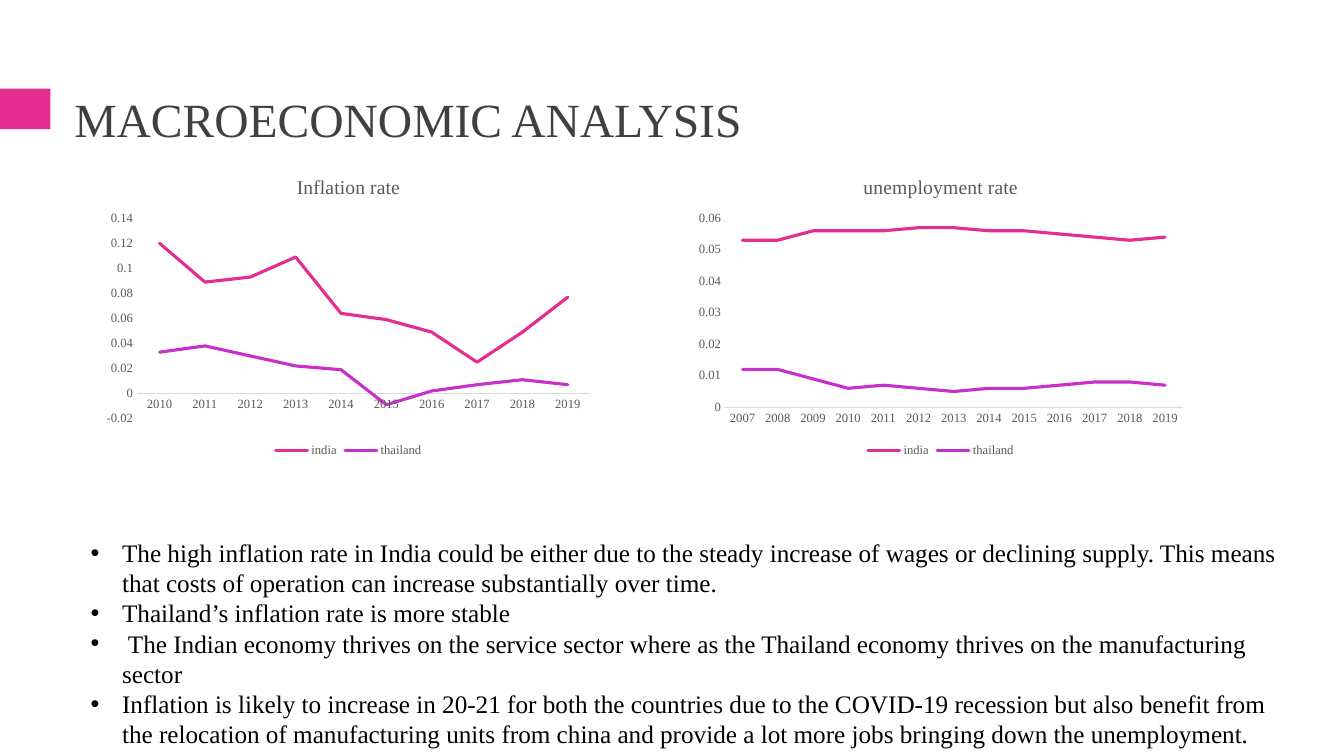
from dataclasses import dataclass

from lxml import etree
from pptx import Presentation
from pptx import util as u
from pptx.chart import data
from pptx.dml import color
from pptx.enum import chart as ch, shapes, text
from pptx.oxml import ns

FONT = "Times New Roman"
PINK, PURPLE = "E32D91", "C830CC"
DARK, GREY, RULE, BLACK = "404040", "595959", "D9D9D9", "000000"


@dataclass
class RateChart:
    title: str
    left: float
    first_year: int
    low: float
    high: float
    step: float
    india: list[float]
    thailand: list[float]


CHARTS = [
    RateChart(
        "Inflation rate", 69, 2010, -0.02, 0.14, 0.02,
        [0.12, 0.089, 0.093, 0.109, 0.064, 0.059, 0.049, 0.025, 0.049, 0.077],
        [0.033, 0.038, 0.03, 0.022, 0.019, -0.009, 0.002, 0.007, 0.011, 0.007],
    ),
    RateChart(
        "unemployment rate", 492, 2007, 0, 0.06, 0.01,
        [0.053, 0.053, 0.056, 0.056, 0.056, 0.057, 0.057, 0.056, 0.056, 0.055,
         0.054, 0.053, 0.054],
        [0.012, 0.012, 0.009, 0.006, 0.007, 0.006, 0.005, 0.006, 0.006, 0.007,
         0.008, 0.008, 0.007],
    ),
]

BULLETS = [
    "The high inflation rate in India could be either due to the steady increase of wages "
    "or declining supply. This means that costs of operation can increase substantially over time.",
    "Thailand’s inflation rate is more stable",
    " The Indian economy thrives on the service sector where as the Thailand economy thrives "
    "on the manufacturing sector",
    "Inflation is likely to increase in 20-21 for both the countries due to the COVID-19 "
    "recession but also benefit from the relocation of manufacturing units from china and "
    "provide a lot more jobs bringing down the unemployment.",
]


def rgb(value: str) -> color.RGBColor:
    return color.RGBColor.from_string(value)


def set_font(font, size: float, value: str) -> None:
    font.name = FONT
    font.size = u.Pt(size)
    font.bold = False
    font.color.rgb = rgb(value)


def add_text(s, left: float, top: float, width: float, height: float,
             lines: list[str], size: float, value: str, anchor):
    tf = s.shapes.add_textbox(u.Pt(left), u.Pt(top), u.Pt(width), u.Pt(height)).text_frame
    tf.word_wrap = True
    tf.vertical_anchor = anchor
    tf.text = "\n".join(lines)
    for p in tf.paragraphs:
        set_font(p.font, size, value)
    return tf


def add_bullet(p, indent: float) -> None:
    pPr = p._p.get_or_add_pPr()
    pPr.set("marL", str(u.Pt(indent)))
    pPr.set("indent", str(u.Pt(-indent)))
    font = etree.Element(ns.qn("a:buFont"), typeface="Arial")
    mark = etree.Element(ns.qn("a:buChar"), char="•")
    pPr.insert(0, font)
    font.addnext(mark)


def add_rate_chart(s, spec_: RateChart) -> None:
    cd = data.CategoryChartData()
    cd.categories = [str(spec_.first_year + i) for i in range(len(spec_.india))]
    cd.add_series("india", spec_.india)
    cd.add_series("thailand", spec_.thailand)
    chart = s.shapes.add_chart(ch.XL_CHART_TYPE.LINE, u.Pt(spec_.left), u.Pt(114),
                               u.Pt(360), u.Pt(216), cd).chart
    set_font(chart.font, 10, BLACK)

    chart.has_title = True
    tf = chart.chart_title.text_frame
    tf.text = spec_.title
    set_font(tf.paragraphs[0].font, 14, GREY)
    chart.chart_title.include_in_layout = False

    chart.has_legend = True
    chart.legend.position = ch.XL_LEGEND_POSITION.BOTTOM
    chart.legend.include_in_layout = False
    set_font(chart.legend.font, 9, GREY)

    years, rates = chart.category_axis, chart.value_axis
    for axis in (years, rates):
        axis.has_major_gridlines = False
        axis.major_tick_mark = ch.XL_TICK_MARK.NONE
        axis.minor_tick_mark = ch.XL_TICK_MARK.NONE
        set_font(axis.tick_labels.font, 9, GREY)
    years.format.line.color.rgb = rgb(RULE)
    years.format.line.width = u.Pt(0.75)
    rates.format.line.fill.background()
    rates.minimum_scale, rates.maximum_scale = spec_.low, spec_.high
    rates.major_unit = spec_.step

    chart.plots[0].vary_by_categories = False
    for series, value in zip(chart.plots[0].series, (PINK, PURPLE)):
        series.smooth = False
        series.marker.style = ch.XL_MARKER_STYLE.NONE
        line = series.format.line
        line.color.rgb = rgb(value)
        line.width = u.Pt(2.25)
        series._element.spPr.find(ns.qn("a:ln")).set("cap", "rnd")


def main() -> None:
    prs = Presentation()
    prs.slide_width, prs.slide_height = u.Pt(960), u.Pt(540)
    s = prs.slides.add_slide(prs.slide_layouts[6])

    tab = s.shapes.add_shape(shapes.MSO_SHAPE.RECTANGLE, 0, u.Pt(63.4), u.Pt(36), u.Pt(28.8))
    tab.shadow.inherit = False
    tab.fill.solid()
    tab.fill.fore_color.rgb = rgb(PINK)
    tab.line.fill.background()

    add_text(s, 46, 55.4, 868, 58.3, ["MACROECONOMIC ANALYSIS"], 34, DARK,
             text.MSO_ANCHOR.MIDDLE)
    for rate_chart in CHARTS:
        add_rate_chart(s, rate_chart)
    tf = add_text(s, 57.6, 380.2, 868, 138.2, BULLETS, 18, BLACK, text.MSO_ANCHOR.TOP)
    for p in tf.paragraphs:
        add_bullet(p, 22.5)

    prs.save("out.pptx")


if __name__ == "__main__":
    main()
